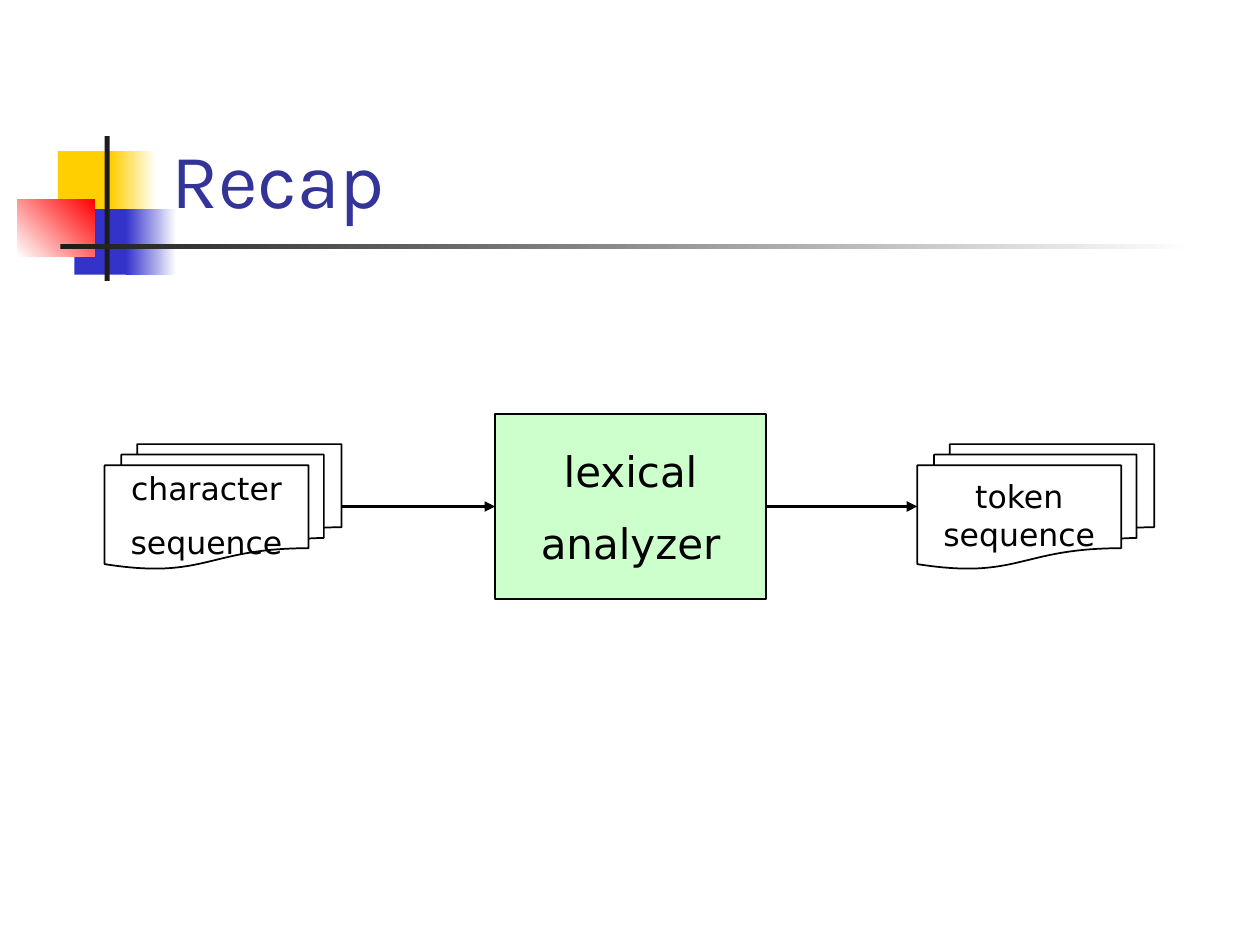
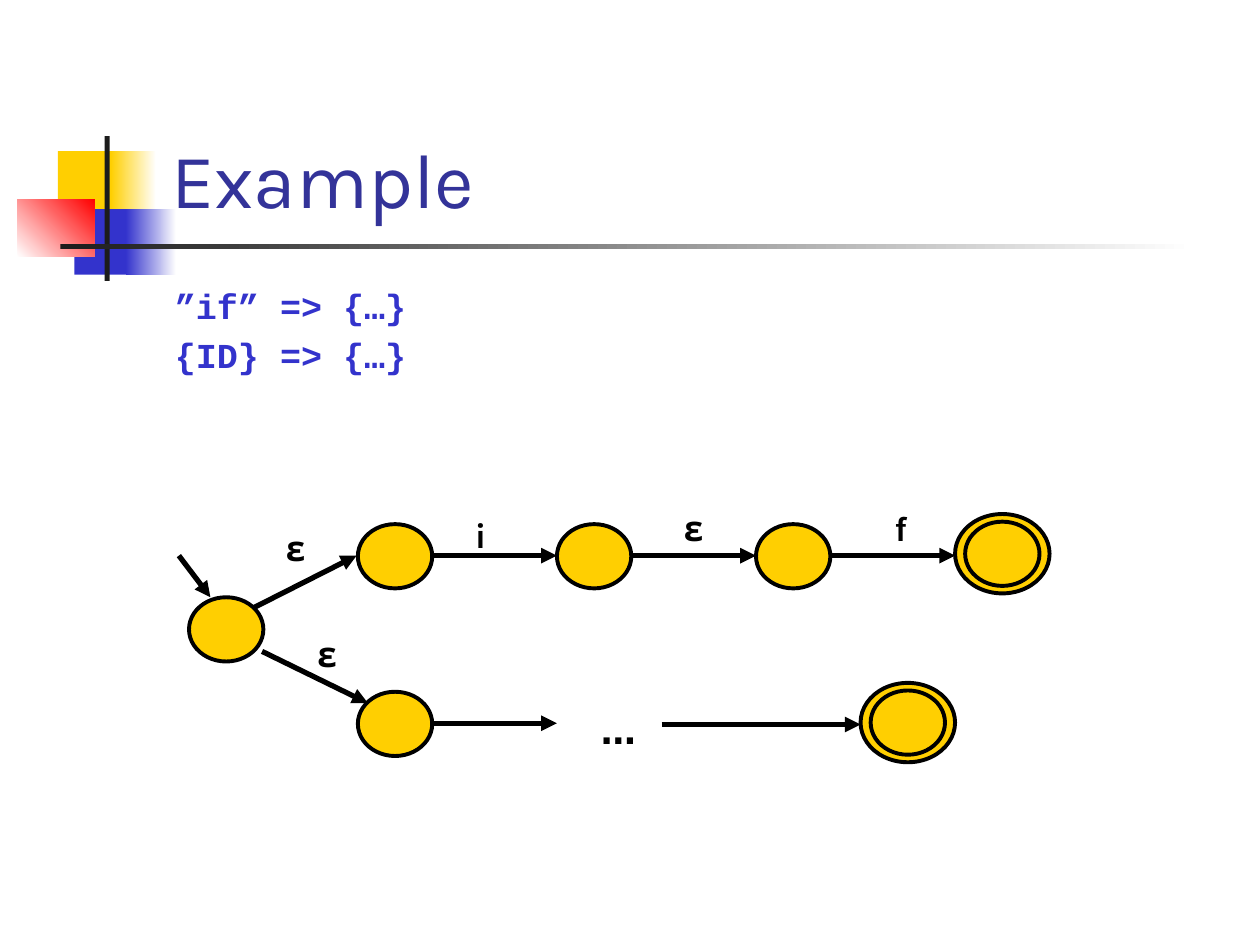
import pptx
import pptx.util
import pptx.dml.color
import pptx.enum.shapes
import pptx.enum.text
import pptx.oxml
import pptx.oxml.ns

SHAPES = pptx.enum.shapes.MSO_SHAPE
ANCHOR = pptx.enum.text.MSO_ANCHOR
ALIGN = pptx.enum.text.PP_ALIGN
AUTO_SIZE = pptx.enum.text.MSO_AUTO_SIZE

COLORS = {"black": "000000", "ink": "1C1C1C", "white": "FFFFFF", "gold": "FFCF01",
          "blue": "3333CC", "red": "FF0000", "title": "333399", "mint": "CCFFCC"}
SLIDE_SIZE = (10, 7.5)

DECORATION = [
    ((0.46, 1.2, 0.48, 0.52), "gold", None),
    ((0.88, 1.2, 0.36, 0.52), ("gold", "white"), 0),
    ((0.59, 1.66, 0.46, 0.52), "blue", None),
    ((1, 1.66, 0.4, 0.52), ("blue", "white"), 0),
    ((0.14, 1.58, 0.61, 0.46), ("white", "red"), 45),
    ((0.83, 1.08, 0.04, 1.15), "ink", None),
    ((0.48, 1.94, 9, 0.04), ("ink", "white"), 0),
]
TITLE_BOX = (1.26, 0.23, 8.52, 1.6)
TITLE_FONT = {"name": "Karla", "size": 44, "color": "title"}

PIPELINE_MIDDLE = 4.02
PIPELINE = [
    (SHAPES.FLOWCHART_MULTIDOCUMENT, 0.83, (1.88, 0.99), None, 18, ["character", "sequence"]),
    (SHAPES.FLOWCHART_PROCESS, 3.93, (2.15, 1.47), "mint", 24, ["lexical", "analyzer"]),
    (SHAPES.FLOWCHART_MULTIDOCUMENT, 7.28, (1.88, 0.99), None, 18, ["token sequence"]),
]

RULES = ["”if” => {…}", "{ID} => {…}"]
RULES_BOX = (1.29, 2.21, 8.5, 4.5)
RULES_FONT = {"name": "Courier New", "size": 20, "color": "blue", "bold": True}

STATE_SIZE = (0.59, 0.51)
ACCEPTING_SIZE = (0.75, 0.63)
COLUMNS = [2.84 + 1.58 * number for number in range(4)]
ROWS = [4.16, 5.49]
ROW_LINES = [4.41, 5.74]
START_STATE = (1.5, 4.74)
STATES = [START_STATE, (COLUMNS[0], ROWS[0]), (COLUMNS[1], ROWS[0]),
          (COLUMNS[2], ROWS[0]), (COLUMNS[0], ROWS[1])]
ACCEPTING_STATES = [(COLUMNS[3], 4.08), (6.83, 5.42)]
STEPS = [(0, 0), (1, 0), (2, 0), (0, 1)]
OTHER_ARROWS = [((1.42, 4.41), (1.67, 4.74)), ((2, 4.83), (2.83, 4.41)),
                ((2.08, 5.17), (2.92, 5.58)), ((5.25, 5.75), (6.83, 5.75))]
LABELS = [
    ("i", (3.67, 4.03, 0.28, 0.43), "Karla"),
    ("ε", (2.17, 4.13, 0.32, 0.43), "Karla"),
    ("ε", (2.42, 4.97, 0.32, 0.43), "Karla"),
    ("ε", (5.33, 3.97, 0.32, 0.43), "Karla"),
    ("f", (7, 3.97, 0.31, 0.43), "Karla"),
    ("…", (4.67, 5.58, 0.49, 0.43), "DejaVu Sans"),
]


def inches(values):
    return [pptx.util.Inches(value) for value in values]


def rgb(name):
    return pptx.dml.color.RGBColor.from_string(COLORS[name])


def set_values(target, values):
    for name, value in values.items():
        setattr(target, name, value)


def write(shape, lines, font, frame_format, paragraph_format=None, gap=0, hanging=0):
    frame = shape.text_frame
    set_values(frame, frame_format)
    for number, line in enumerate(lines):
        paragraph = frame.paragraphs[0] if number == 0 else frame.add_paragraph()
        paragraph.text = line
        set_values(paragraph, paragraph_format or {})
        if number:
            paragraph.space_before = pptx.util.Pt(gap)
        if hanging:
            properties = paragraph._p.get_or_add_pPr()
            properties.set("marL", str(pptx.util.Inches(hanging)))
            properties.set("indent", str(pptx.util.Inches(-hanging)))
        set_values(paragraph.font, {"name": font["name"], "size": pptx.util.Pt(font["size"]),
                                    "bold": font.get("bold", False)})
        paragraph.font.color.rgb = rgb(font["color"])


def add_text(slide, box, lines, font, frame_format, **spacing):
    shape = slide.shapes.add_textbox(*inches(box))
    write(shape, lines, font, frame_format, **spacing)


def add_figure(shapes, kind, box, fill=None, angle=None, line_width=None):
    shape = shapes.add_shape(kind, *inches(box))
    shape.shadow.inherit = False
    if fill is None:
        shape.fill.background()
    elif angle is None:
        shape.fill.solid()
        shape.fill.fore_color.rgb = rgb(fill)
    else:
        shape.fill.gradient()
        shape.fill.gradient_angle = angle
        for stop, name, position in zip(shape.fill.gradient_stops, fill, (0, 1)):
            stop.color.rgb = rgb(name)
            stop.position = position
    if line_width:
        shape.line.color.rgb = rgb("black")
        shape.line.width = pptx.util.Pt(line_width)
    else:
        shape.line.fill.background()
    return shape


def add_arrow(slide, start, end, width):
    arrow = slide.shapes.add_connector(pptx.enum.shapes.MSO_CONNECTOR.STRAIGHT,
                                       *inches(start + end))
    arrow.line.color.rgb = rgb("black")
    arrow.line.width = pptx.util.Pt(width)
    head = pptx.oxml.parse_xml(f'<a:tailEnd {pptx.oxml.ns.nsdecls("a")} type="triangle"/>')
    arrow.line._get_or_add_ln().append(head)
    arrow._element.spPr.append(
        pptx.oxml.parse_xml(f'<a:effectLst {pptx.oxml.ns.nsdecls("a")}/>'))


def add_slide(presentation, title):
    slide = presentation.slides.add_slide(presentation.slide_layouts[6])
    for box, fill, angle in DECORATION:
        add_figure(slide.shapes, SHAPES.RECTANGLE, box, fill, angle)
    add_text(slide, TITLE_BOX, [title], TITLE_FONT,
             {"word_wrap": True, "vertical_anchor": ANCHOR.BOTTOM})
    return slide


def add_accepting_state(slide, left, top):
    group = slide.shapes.add_group_shape()
    for size, (right, down) in ((ACCEPTING_SIZE, (0, 0)), (STATE_SIZE, (0.08, 0.06))):
        add_figure(group.shapes, SHAPES.OVAL, (left + right, top + down) + size,
                   "gold", line_width=2.25)


def build_recap(presentation):
    slide = add_slide(presentation, "Recap")
    for kind, left, (width, height), fill, size, lines in PIPELINE:
        top = PIPELINE_MIDDLE - height / 2
        shape = add_figure(slide.shapes, kind, (left, top, width, height), fill, line_width=1)
        write(shape, lines, {"name": "DejaVu Sans", "size": size, "color": "black"},
              {"word_wrap": True, "vertical_anchor": ANCHOR.MIDDLE},
              {"alignment": ALIGN.CENTER}, gap=size / 2)
    for source, target in zip(PIPELINE, PIPELINE[1:]):
        add_arrow(slide, (source[1] + source[2][0], PIPELINE_MIDDLE),
                  (target[1], PIPELINE_MIDDLE), 2)


def build_example(presentation):
    slide = add_slide(presentation, "Example")
    add_text(slide, RULES_BOX, RULES, RULES_FONT, {"word_wrap": True}, gap=4, hanging=0.38)
    for column, row in STEPS:
        add_arrow(slide, (COLUMNS[column] + STATE_SIZE[0], ROW_LINES[row]),
                  (COLUMNS[column + 1], ROW_LINES[row]), 3)
    for start, end in OTHER_ARROWS:
        add_arrow(slide, start, end, 3)
    for state in STATES:
        add_figure(slide.shapes, SHAPES.OVAL, state + STATE_SIZE, "gold", line_width=2.25)
    for left, top in ACCEPTING_STATES:
        add_accepting_state(slide, left, top)
    for label, box, font_name in LABELS:
        add_text(slide, box, [label],
                 {"name": font_name, "size": 20, "color": "black", "bold": True},
                 {"word_wrap": False, "auto_size": AUTO_SIZE.SHAPE_TO_FIT_TEXT})


def main():
    presentation = pptx.Presentation()
    presentation.slide_width, presentation.slide_height = inches(SLIDE_SIZE)
    build_recap(presentation)
    build_example(presentation)
    presentation.save("out.pptx")


if __name__ == "__main__":
    main()
